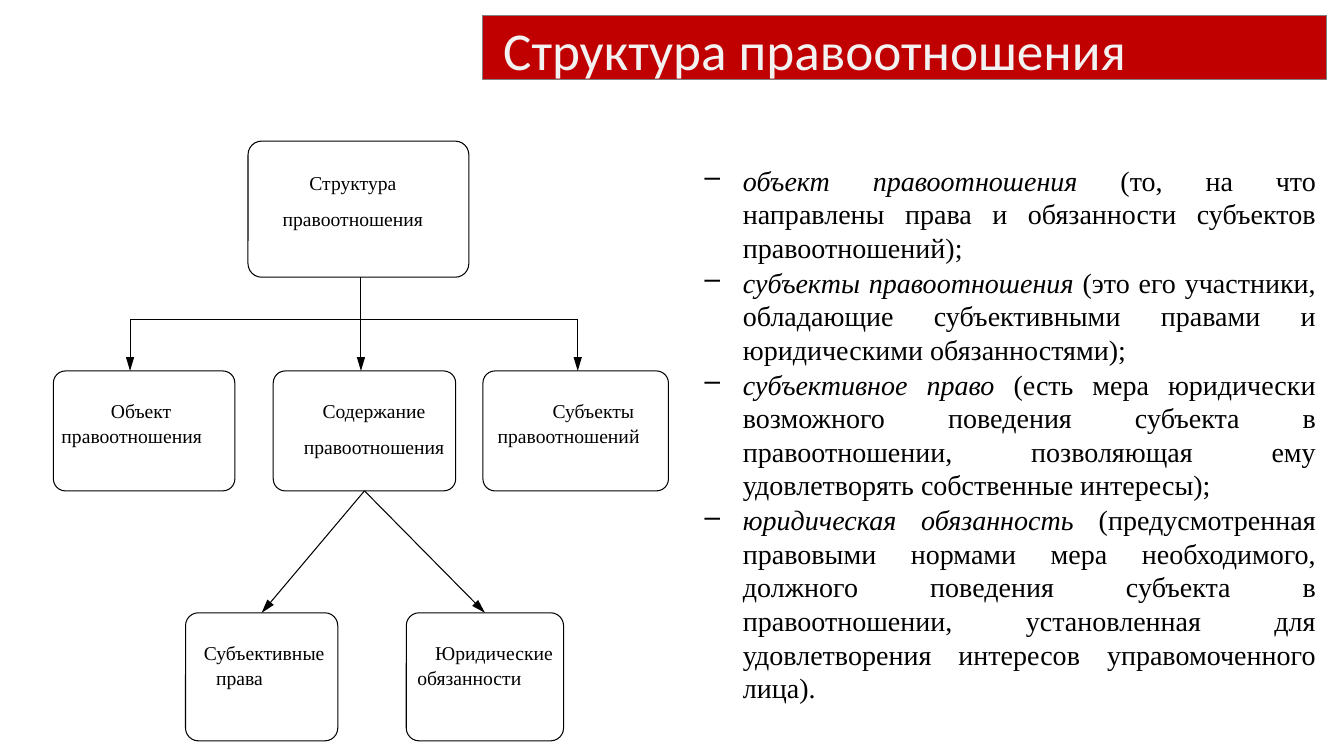
from lxml import etree
from pptx import Presentation, util as u
from pptx.dml.color import RGBColor
from pptx.enum import shapes, text
from pptx.oxml.ns import qn

PX = 9144  # EMU per px, 100 px to the inch
HUE = {"ink": "000000", "red": "C00000", "edge": "808080", "pale": "F2F2F2"}
SERIF = "Times New Roman"
LEFT, MID, JUST = (text.PP_ALIGN.LEFT, text.PP_ALIGN.CENTER,
                   text.PP_ALIGN.JUSTIFY)

# name: box, text box, alignment, paragraphs
NODES = {
    "root": ((246, 140, 219, 135), (208, 168, 235, 71), MID,
             ["Структура", "правоотношения"]),
    "object": ((53, 368, 180, 119), (61, 394, 185, 77), LEFT,
               ["Объект правоотношения"]),
    "content": ((271, 368, 181, 119), (240, 394, 213, 68), MID,
                ["Содержание", "правоотношения"]),
    "subject": ((479, 368, 184, 119), (488, 394, 152, 48), MID,
                ["Субъекты правоотношений"]),
    "right": ((184, 608, 151, 127), (129, 634, 217, 92), MID,
              ["Субъективные права"]),
    "duty": ((403, 608, 156, 127), (358, 634, 215, 66), MID,
             ["Юридические обязанности"]),
}
TERMS = [
    ("объект правоотношения", " (то, на что направлены права и обязанности "
     "субъектов правоотношений);"),
    ("субъекты правоотношения", " (это его участники, обладающие "
     "субъективными правами и юридическими обязанностями);"),
    ("субъективное право", " (есть мера юридически возможного поведения "
     "субъекта в правоотношении, позволяющая ему удовлетворять собственные "
     "интересы);"),
    ("юридическая обязанность", " (предусмотренная правовыми нормами мера "
     "необходимого, должного поведения субъекта в правоотношении, "
     "установленная для удовлетворения интересов управомоченного лица)."),
]


def px(*vals):
    return [u.Emu(v * PX) for v in vals]


def rgb(key):
    return RGBColor.from_string(HUE[key])


def put(obj, **vals):
    for key, val in vals.items():
        setattr(obj, key, val)


def pad(frame, *sides):
    names = ("margin_left", "margin_top", "margin_right", "margin_bottom")
    put(frame, word_wrap=True, **dict(zip(names, px(*sides))))


def style(font, size, name=SERIF, hue="ink"):
    put(font, size=u.Pt(size), name=name)
    font.color.rgb = rgb(hue)


def edge(line, hue="ink"):
    line.color.rgb = rgb(hue)
    line.width = u.Pt(0.75)


def paras(frame, count):
    """Yield the given number of paragraphs, starting with the first."""
    for i in range(count):
        yield frame.add_paragraph() if i else frame.paragraphs[0]


def indent(par, left, first):
    props = par._p.get_or_add_pPr()
    props.set("marL", str(left * PX))
    props.set("indent", str(first * PX))
    return props


def title(slide, box):
    head = slide.shapes.title
    put(head, **dict(zip(("left", "top", "width", "height"), px(*box))))
    head.fill.solid()
    head.fill.fore_color.rgb = rgb("red")
    edge(head.line, "edge")
    frame = head.text_frame
    pad(frame, 20, 31, 20, 20)
    put(frame, auto_size=text.MSO_AUTO_SIZE.NONE,
        vertical_anchor=text.MSO_ANCHOR.MIDDLE)
    par = frame.paragraphs[0]
    put(par, text="Структура правоотношения", alignment=LEFT,
        line_spacing=u.Pt(40), space_before=u.Pt(0))
    style(par.runs[0].font, 38, "Calibri", "pale")


def node(slide, x, y, box, area, align, lines):
    """Draw a rounded box with its label laid over it."""
    left, top, wide, high = box
    rect = slide.shapes.add_shape(
        shapes.MSO_SHAPE.ROUNDED_RECTANGLE,
        *px(x + left, y + top, wide, high))
    rect.shadow.inherit = False
    rect.adjustments[0] = 0.1
    rect.fill.background()
    edge(rect.line)
    left, top, wide, high = area
    label = slide.shapes.add_textbox(*px(x + left, y + top, wide, high))
    frame = label.text_frame
    pad(frame, 0, 0, 0, 0)
    for par, line in zip(paras(frame, len(lines)), lines):
        indent(par, 0, 49)
        put(par, text=line, alignment=align, line_spacing=1.07,
            space_after=u.Pt(8))
        style(par.runs[0].font, 14)
    return rect


def link(slide, start, end, arrow=True):
    line = slide.shapes.add_connector(
        shapes.MSO_CONNECTOR.STRAIGHT, *px(*start, *end))
    edge(line.line)
    if arrow:
        etree.SubElement(line.line._get_or_add_ln(), qn("a:tailEnd"),
                         type="triangle", w="med", len="lg")
    etree.SubElement(line._element.spPr, qn("a:effectLst"))
    return line


def tree(slide, x, y):
    made = {name: node(slide, x, y, *part) for name, part in NODES.items()}
    # Trunk, crossbar and drops to the second row
    bar, row, trunk, ends = y + 317, y + 368, x + 358, (x + 129, x + 573)
    link(slide, (trunk, y + 275), (trunk, row))
    link(slide, (ends[0], bar), (ends[1], bar), arrow=False)
    for drop in ends:
        link(slide, (drop, bar), (drop, row))
    # Branches to the third row
    for name in ("right", "duty"):
        branch = link(slide, (x, y), (x, y))
        branch.begin_connect(made["content"], 2)
        branch.end_connect(made[name], 0)


def terms(slide, box):
    frame = slide.shapes.add_textbox(*px(*box)).text_frame
    pad(frame, 10, 5, 10, 5)
    for par, (term, note) in zip(paras(frame, len(TERMS)), TERMS):
        props = indent(par, 38, -38)
        put(par, alignment=JUST, space_after=u.Pt(0.8))
        tint = etree.SubElement(props, qn("a:buClr"))
        etree.SubElement(tint, qn("a:srgbClr"), val=HUE["ink"])
        etree.SubElement(props, qn("a:buChar"), char="–")
        for words, slant in ((term, True), (note, False)):
            run = par.add_run()
            run.text = words
            style(run.font, 20)
            run.font.italic = slant


def main():
    deck = Presentation()
    put(deck, slide_width=u.Emu(1333 * PX), slide_height=u.Emu(750 * PX))
    slide = deck.slides.add_slide(deck.slide_layouts[5])
    title(slide, (479, 15, 837, 64))
    tree(slide, 0, 0)
    terms(slide, (689, 157, 626, 553))
    deck.save("out.pptx")


if __name__ == "__main__":
    main()
